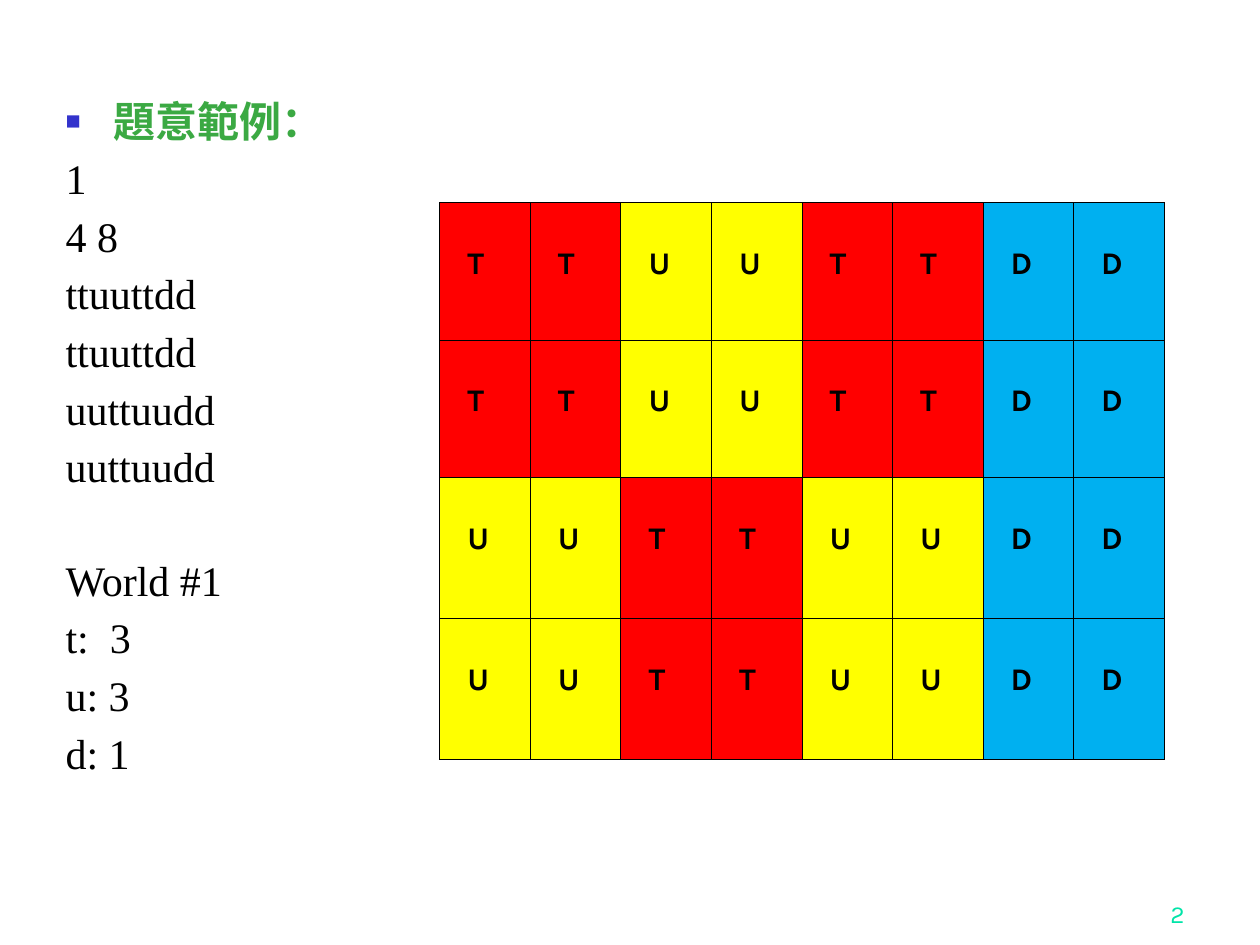
from lxml import etree
from pptx import Presentation
from pptx.dml.color import RGBColor
from pptx.enum.text import MSO_ANCHOR, MSO_AUTO_SIZE, PP_ALIGN
from pptx.oxml.ns import qn
from pptx.util import Inches, Pt

RIGHT = PP_ALIGN.RIGHT
BOTTOM = MSO_ANCHOR.BOTTOM
NO_AUTOFIT = MSO_AUTO_SIZE.NONE
SERIF, SANS = "Times New Roman", "Karla"
COLORS = {
    "text": "000000",
    "heading": "3BA943",
    "bullet": "3333CC",
    "page": "00E4A8",
    "border": "000000",
    "t": "FF0000",
    "u": "FFFF00",
    "d": "00B0F0",
}
HEADING = "題意範例："
WORLD = ["ttuuttdd", "ttuuttdd", "uuttuudd", "uuttuudd"]
SAMPLE_INPUT = ["1", "4 8", *WORLD]
SAMPLE_OUTPUT = ["World #1", "t:  3", "u: 3", "d: 1"]
LINE_GAP, BLOCK_GAP = Pt(7), Pt(39)


def rgb(name):
    return RGBColor.from_string(COLORS[name])


def add_run(paragraph, text, font, size, color, bold=False):
    run = paragraph.add_run()
    run.text = text
    run.font.name = font
    run.font.size = Pt(size)
    run.font.bold = bold
    run.font.color.rgb = rgb(color)


def add_child(parent, tag, **attributes):
    return etree.SubElement(parent, qn(tag), attributes)


def set_bullet(paragraph, shown):
    properties = paragraph._p.get_or_add_pPr()
    properties.set("marL", str(Inches(0.38)))
    properties.set("indent", str(-Inches(0.38)))
    if shown:
        color = add_child(properties, "a:buClr")
        add_child(color, "a:srgbClr", val=COLORS["bullet"])
        add_child(properties, "a:buSzPct", val="60000")
        add_child(properties, "a:buChar", char="■")
    else:
        add_child(properties, "a:buNone")


def fill_sample(body, left, top, width, height):
    """Write the heading, the sample input and the sample output as one list."""
    body.left, body.top, body.width, body.height = left, top, width, height
    frame = body.text_frame
    frame.auto_size = NO_AUTOFIT
    for index, line in enumerate([HEADING, *SAMPLE_INPUT, *SAMPLE_OUTPUT]):
        is_heading = index == 0
        paragraph = frame.paragraphs[0] if is_heading else frame.add_paragraph()
        set_bullet(paragraph, is_heading)
        paragraph.line_spacing = 0.9
        if is_heading:
            paragraph.space_before = Pt(0)
        else:
            paragraph.space_before = BLOCK_GAP if line == SAMPLE_OUTPUT[0] else LINE_GAP
        add_run(paragraph, line, SERIF, 24,
                "heading" if is_heading else "text", bold=is_heading)


def set_borders(cell):
    properties = cell._tc.get_or_add_tcPr()
    for side in ("a:lnL", "a:lnR", "a:lnT", "a:lnB"):
        border = add_child(properties, side, w=str(Pt(0.45)))
        fill = add_child(border, "a:solidFill")
        add_child(fill, "a:srgbClr", val=COLORS["border"])


def add_world_map(slide, left, top, width, row_heights):
    """Draw each letter of the world as a cell in its language's colour."""
    columns = len(WORLD[0])
    table = slide.shapes.add_table(
        len(WORLD), columns, left, top, width, sum(row_heights)).table
    table.first_row = table.horz_banding = False
    for column in table.columns:
        column.width = width // columns
    for row, height, letters in zip(table.rows, row_heights, WORLD):
        row.height = height
        for cell, letter in zip(row.cells, letters):
            set_borders(cell)
            cell.fill.solid()
            cell.fill.fore_color.rgb = rgb(letter)
            cell.margin_left = Inches(0.22)
            cell.margin_top = Inches(0.34)
            add_run(cell.text_frame.paragraphs[0], letter.upper(),
                    SANS, 18, "text", bold=True)


def add_page_number(slide, left, top, width, height):
    frame = slide.shapes.add_textbox(left, top, width, height).text_frame
    frame.word_wrap = True
    frame.vertical_anchor = BOTTOM
    paragraph = frame.paragraphs[0]
    paragraph.alignment = RIGHT
    add_run(paragraph, "2", SANS, 14, "page")


def main():
    deck = Presentation()
    deck.slide_width, deck.slide_height = Inches(10), Inches(7.5)
    slide = deck.slides.add_slide(deck.slide_layouts[1])
    title = slide.shapes.title._element
    title.getparent().remove(title)

    add_page_number(slide, Inches(7.42), Inches(6.92), Inches(2.08), Inches(0.5))
    fill_sample(slide.placeholders[1],
                Inches(0.42), Inches(0.75), Inches(8.83), Inches(6.15))
    add_world_map(slide, Inches(3.49), Inches(1.61), Inches(5.75),
                  [Inches(h) for h in (1.09, 1.09, 1.12, 1.12)])
    deck.save("out.pptx")


if __name__ == "__main__":
    main()
